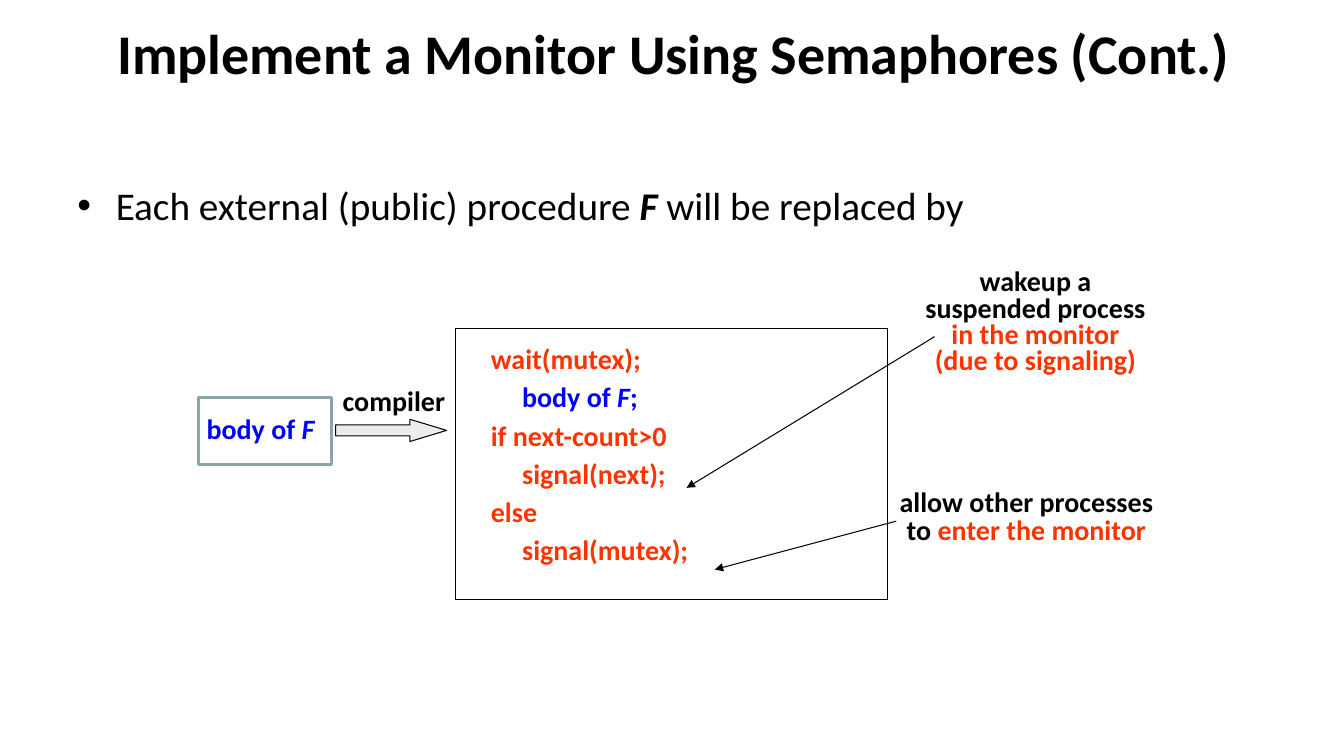
import pptx
import pptx.util
import pptx.dml.color
import pptx.enum.shapes
import pptx.enum.text
import pptx.oxml.ns
import lxml.etree

THEME = {
    "font": "Calibri",
    "black": "000000", "red": "FF3300", "blue": "0000FF",
    "arrow": "ECECEC", "frame": "8AA6A8",
    "title": 40, "body": 28, "label": 20,
}
BULLET_INDENT = 0.38
CODE_INDENT = 0.31
LABEL_GAP = 5.6

BOLD = {"bold": True}
BOLD_ITALIC = {"bold": True, "italic": True}

TEXTS = [
    {"at": (0.68, 0.13, 12, 1.25), "size": "title", "align": "CENTER", "paragraphs": [
        (0, [("Implement a Monitor Using Semaphores (Cont.)", "black", BOLD)])]},
    {"at": (0.67, 1.75, 12, 4.95), "size": "body", "bullet": "•", "paragraphs": [
        (0, [("Each external (public) procedure ", "black", {}),
             ("F", "black", BOLD_ITALIC),
             (" will be replaced by", "black", {})])]},
    {"at": (4.77, 3.38, 4.03, 2.41), "spacing": 0.9, "paragraphs": [
        (0, [("wait(mutex);", "red", BOLD)]),
        (1, [("body of ", "blue", BOLD), ("F", "blue", BOLD_ITALIC), (";", "blue", BOLD)]),
        (0, [("if next-count>0", "red", BOLD)]),
        (1, [("signal(next);", "red", BOLD)]),
        (0, [("else", "red", BOLD)]),
        (1, [("signal(mutex);", "red", BOLD)])]},
    {"at": (1.95, 4.07, 1.28, 0.4), "spacing": 0.9, "wrap": False, "paragraphs": [
        (0, [("body of ", "blue", BOLD), ("F", "blue", BOLD_ITALIC)])]},
    {"at": (3.3, 3.79, 1.23, 0.4), "spacing": 0.9, "wrap": False, "paragraphs": [
        (0, [("compiler", "black", BOLD)])]},
    {"at": (9.01, 2.7, 2.52, 1.14), "spacing": 0.55, "align": "CENTER", "paragraphs": [
        (0, [("wakeup a", "black", BOLD)]),
        (0, [("suspended process", "black", BOLD)]),
        (0, [("in the monitor", "red", BOLD)]),
        (0, [("(due to signaling)", "red", BOLD)])]},
    {"at": (8.8, 4.87, 2.76, 0.61), "spacing": 0.6, "align": "CENTER", "paragraphs": [
        (0, [("allow other processes", "black", BOLD)]),
        (0, [("to ", "black", BOLD), ("enter the monitor", "red", BOLD)])]},
]

SHAPES = [
    ("RECTANGLE", (4.52, 3.26, 4.28, 2.69), None, "black", 0.75, ()),
    ("RIGHT_ARROW", (3.33, 4.16, 1.1, 0.22), "arrow", "black", 0.75, (0.5, 1.65)),
    ("RECTANGLE", (1.97, 3.94, 1.32, 0.67), None, "frame", 2, ()),
]

POINTERS = [
    (9.27, 3.34, 6.81, 4.84),
    (8.89, 5.17, 7.09, 5.65),
]


def inches(values):
    return [pptx.util.Inches(v) for v in values]


def color(name):
    return pptx.dml.color.RGBColor.from_string(THEME[name])


def add_element(parent, tag, **attributes):
    return lxml.etree.SubElement(parent, pptx.oxml.ns.qn(tag), attributes)


def set_line(line, name, width):
    line.color.rgb = color(name)
    line.width = pptx.util.Pt(width)


def add_shape(s, kind, at, fill, line, width, adjustments):
    sp = s.shapes.add_shape(getattr(pptx.enum.shapes.MSO_SHAPE, kind), *inches(at))
    sp.shadow.inherit = False
    for i, value in enumerate(adjustments):
        sp.adjustments[i] = value
    if fill:
        sp.fill.solid()
        sp.fill.fore_color.rgb = color(fill)
    else:
        sp.fill.background()
    set_line(sp.line, line, width)


def add_pointer(s, points):
    c = s.shapes.add_connector(pptx.enum.shapes.MSO_CONNECTOR.STRAIGHT, *inches(points))
    set_line(c.line, "black", 0.75)
    add_element(c.line._get_or_add_ln(), "a:tailEnd", type="triangle")
    add_element(c._element.spPr, "a:effectLst")


def set_indent(p, left, first=0):
    pPr = p._p.get_or_add_pPr()
    pPr.set("marL", str(pptx.util.Inches(left)))
    pPr.set("indent", str(pptx.util.Inches(first)))
    return pPr


def add_text(s, item):
    tf = s.shapes.add_textbox(*inches(item["at"])).text_frame
    tf.word_wrap = item.get("wrap", True)
    align = getattr(pptx.enum.text.PP_ALIGN, item.get("align", "LEFT"))
    for i, (level, runs) in enumerate(item["paragraphs"]):
        p = tf.add_paragraph() if i else tf.paragraphs[0]
        p.alignment = align
        p.line_spacing = item.get("spacing", 1.0)
        if i:
            p.space_before = pptx.util.Pt(LABEL_GAP)
        if level:
            set_indent(p, CODE_INDENT * level)
        if "bullet" in item:
            pPr = set_indent(p, BULLET_INDENT, -BULLET_INDENT)
            add_element(pPr, "a:buFont", typeface="Arial")
            add_element(pPr, "a:buChar", char=item["bullet"])
        for text, name, style in runs:
            r = p.add_run()
            r.text = text
            r.font.color.rgb = color(name)
            font = {"name": THEME["font"],
                    "size": pptx.util.Pt(THEME[item.get("size", "label")]), **style}
            for key, value in font.items():
                setattr(r.font, key, value)


def main():
    prs = pptx.Presentation()
    prs.slide_width, prs.slide_height = inches((13.33, 7.5))
    s = prs.slides.add_slide(prs.slide_layouts[6])
    for shape in SHAPES:
        add_shape(s, *shape)
    for points in POINTERS:
        add_pointer(s, points)
    for item in TEXTS:
        add_text(s, item)
    prs.save("out.pptx")


if __name__ == "__main__":
    main()
